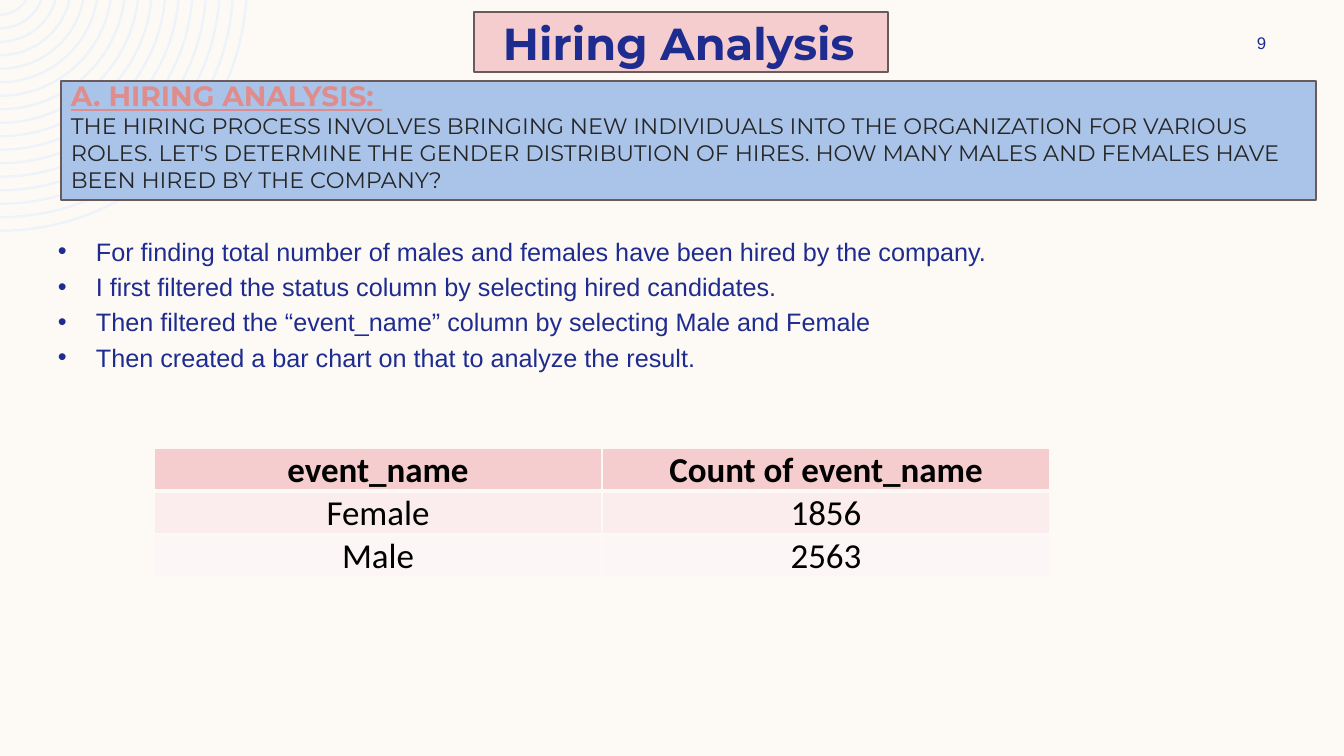
"""Build the Hiring Analysis slide."""
import math
import lxml.etree
import pptx
import pptx.dml.color
import pptx.enum.shapes
import pptx.enum.text
import pptx.oxml.ns
import pptx.util

PX = 914400 / 100.8
NAVY, PINK, CREAM = "1F2C8F", "F5CDCE", "FDFAF6"
ALIGN = pptx.enum.text.PP_ALIGN
MIDDLE = pptx.enum.text.MSO_ANCHOR.MIDDLE
qn = pptx.oxml.ns.qn


def rgb(color):
    return pptx.dml.color.RGBColor.from_string(color)


def write(p, text, size=18, font="Arial", color=NAVY, bold=False, underline=False, align=ALIGN.LEFT):
    p.alignment = align
    r = p.add_run()
    r.text = text
    r.font.size = pptx.util.Pt(size)
    r.font.name = font
    r.font.color.rgb = rgb(color)
    r.font.bold = bold
    r.font.underline = underline


prs = pptx.Presentation()
prs.slide_width, prs.slide_height = round(1344 * PX), round(756 * PX)
s = prs.slides.add_slide(prs.slide_layouts[6])
s.background.fill.solid()
s.background.fill.fore_color.rgb = rgb(CREAM)

center_y = -16
fb = None
for ring in range(17):
    outer = 248 - 13.5 * ring
    points = []
    for radius, order in ((outer, 1), (outer - 2.4, -1)):
        a = math.asin(-center_y / radius)
        k = 4 / 3 * math.tan((math.pi / 2 - a) / 4)
        curve = [(math.cos(a), math.sin(a)),
                 (math.cos(a) - k * math.sin(a), math.sin(a) + k * math.cos(a)),
                 (k, 1), (0, 1)]
        points += [(round(radius * x * PX), round((center_y + radius * y) * PX)) for x, y in curve[::order]]
    if fb is None:
        fb = s.shapes.build_freeform(*points[0])
    else:
        fb.move_to(*points[0])
    fb.add_line_segments(points[1:], close=True)
rings = fb.convert_to_shape()
rings.shadow.inherit = False
rings.fill.solid()
rings.fill.fore_color.rgb = rgb("EEF3FA")
rings.line.fill.background()
lines = list(rings._element.iter(qn("a:lnTo")))
for start in range(0, len(lines), 7):
    for first in (start, start + 4):
        bezier = lxml.etree.Element(qn("a:cubicBezTo"))
        lines[first].addprevious(bezier)
        for line in lines[first:first + 3]:
            bezier.append(line[0])
            line.getparent().remove(line)

for x, y, w, h, color in [(61, 81, 1255, 119, "AAC4E9"), (474, 12, 414, 60, PINK)]:
    sp = s.shapes.add_shape(pptx.enum.shapes.MSO_SHAPE.RECTANGLE, *[round(v * PX) for v in (x, y, w, h)])
    sp.shadow.inherit = False
    sp.fill.solid()
    sp.fill.fore_color.rgb = rgb(color)
    sp.line.color.rgb = rgb("6B5A5A")
    sp.line.width = pptx.util.Pt(1)

frames = []
for x, y, w, h in [(61, 74, 1255, 139), (48, 231, 1226, 141), (1207, 15, 109, 55), (493, 31, 503, 24)]:
    tf = s.shapes.add_textbox(*[round(v * PX) for v in (x, y, w, h)]).text_frame
    tf.word_wrap = True
    frames.append(tf)
question, method, number, title = frames

p = question.paragraphs[0]
write(p, "A. HIRING ANALYSIS: ", size=20, font="Montserrat", color="DF8C8C", bold=True, underline=True)
p.add_line_break()
write(p, "THE HIRING PROCESS INVOLVES BRINGING NEW INDIVIDUALS INTO THE ORGANIZATION FOR VARIOUS ROLES. "
      "LET'S DETERMINE THE GENDER DISTRIBUTION OF HIRES. HOW MANY MALES AND FEMALES HAVE BEEN HIRED "
      "BY THE COMPANY?", size=16, font="Montserrat", color="262626")
p.add_line_break()

bullets = [
    "For finding total number of males and females have been hired by the company.",
    "I first filtered the status column by selecting hired candidates.",
    "Then filtered the “event_name” column by selecting Male and Female",
    "Then created a bar chart on that to analyze the result.",
]
for i, text in enumerate(bullets):
    p = method.add_paragraph() if i else method.paragraphs[0]
    p.space_before = pptx.util.Pt(3.6)
    write(p, text)
    pPr = p._p.get_or_add_pPr()
    pPr.set("marL", str(round(38 * PX)))
    pPr.set("indent", str(round(-38 * PX)))
    lxml.etree.SubElement(pPr, qn("a:buFont")).set("typeface", "Arial")
    lxml.etree.SubElement(pPr, qn("a:buChar")).set("char", "•")

number.vertical_anchor = title.vertical_anchor = MIDDLE
write(number.paragraphs[0], "9", size=12, align=ALIGN.CENTER)
write(title.paragraphs[0], "Hiring Analysis", size=32, font="Montserrat", bold=True)

rows = [("event_name", "Count of event_name"), ("Female", "1856"), ("Male", "2563")]
fills = [PINK, "FBEDED", "FDF6F6"]
table = s.shapes.add_table(3, 2, *[round(v * PX) for v in (154, 448, 896, 129)]).table
for i, (row, fill) in enumerate(zip(rows, fills)):
    for j, text in enumerate(row):
        cell = table.cell(i, j)
        cell.margin_left = cell.margin_right = cell.margin_top = round(PX)
        cell.margin_bottom = 0
        cell.vertical_anchor = MIDDLE
        write(cell.text_frame.paragraphs[0], text, size=25, font="Calibri", color="000000",
              bold=i == 0, align=ALIGN.CENTER)
        tcPr = cell._tc.get_or_add_tcPr()
        for side in ("lnL", "lnR", "lnT", "lnB"):
            heavy = (i, side) in ((0, "lnB"), (1, "lnT"))
            ln = lxml.etree.SubElement(tcPr, qn("a:" + side), w=str(pptx.util.Pt(3 if heavy else 1)))
            solid = lxml.etree.SubElement(ln, qn("a:solidFill"))
            lxml.etree.SubElement(solid, qn("a:srgbClr"), val=CREAM)
        cell.fill.solid()
        cell.fill.fore_color.rgb = rgb(fill)

prs.save("out.pptx")
